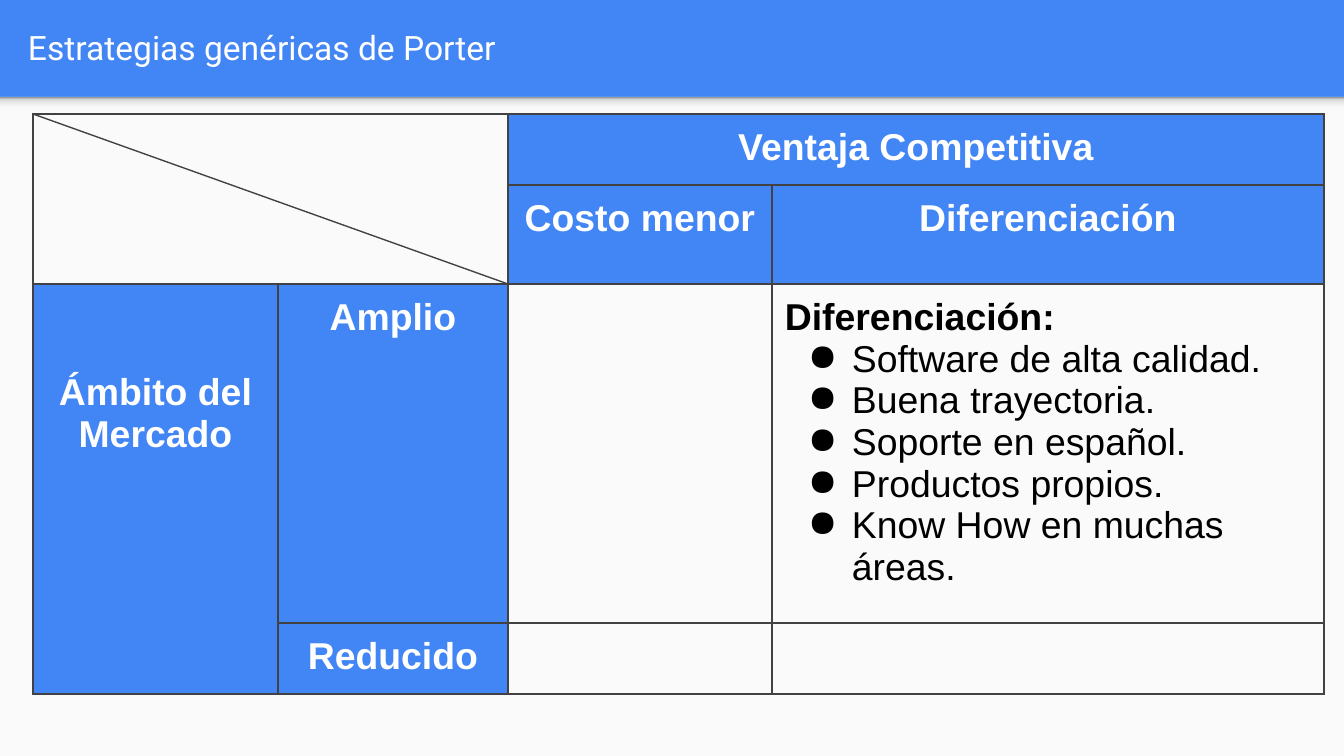
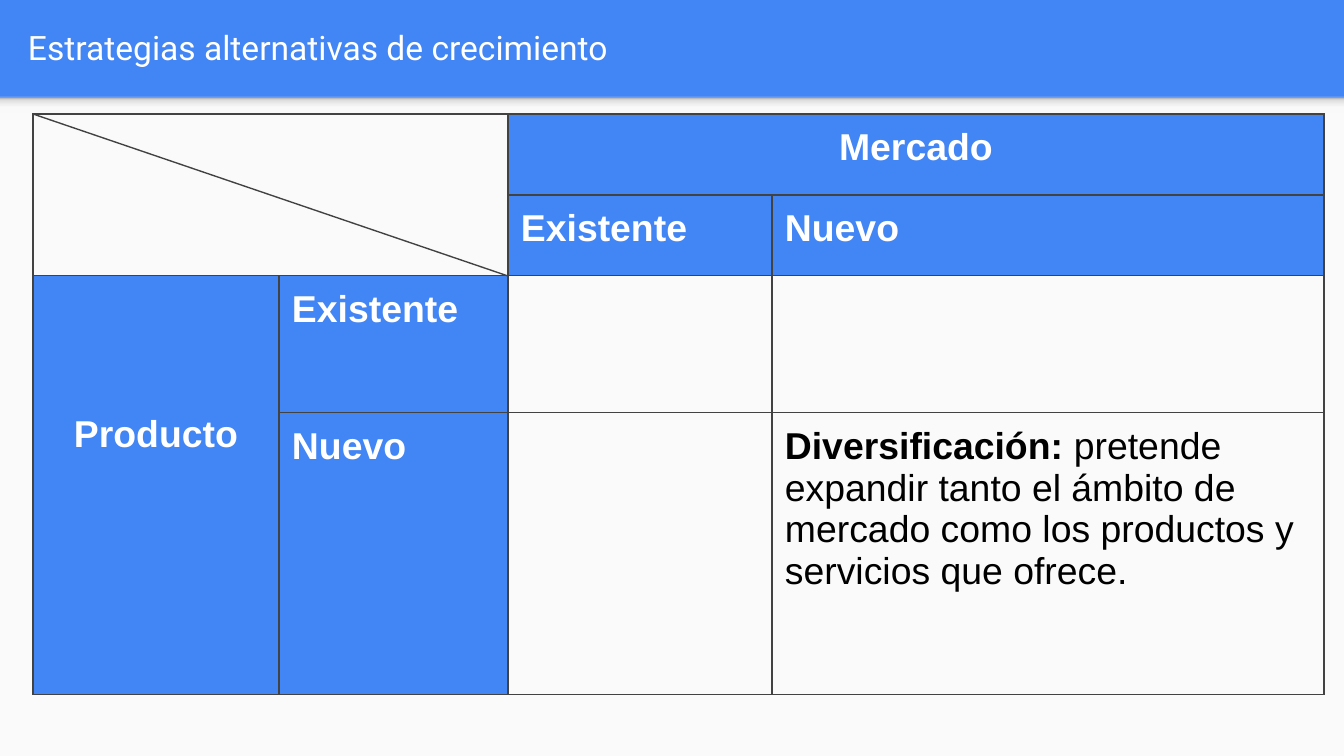
from lxml import etree
from pptx import Presentation
from pptx import util as u
from pptx.dml import color
from pptx.enum import shapes, text
from pptx.oxml import ns

COLORS = {
    "blue": "4285F4",
    "paper": "FAFAFA",
    "border": "424242",
    "white": "FFFFFF",
    "black": "000000",
}
SHADOW_STOPS = [(0, "F9F9F9"), (36, "F9F9F9"), (80, "DEDEDE"), (100, "999999")]
SLIDE_WIDTH, SLIDE_HEIGHT = 1344, 756
BAND_HEIGHT = 97
TABLE_LEFT, TABLE_TOP = 33, 114
PADDING = 13
CENTER, LEFT = text.PP_ALIGN.CENTER, text.PP_ALIGN.LEFT
MERGES = [((0, 0), (1, 1)), ((0, 2), (0, 3)), ((2, 0), (3, 0))]

MATRICES = [
    {
        "title": "Estrategias genéricas de Porter",
        "columns": [245, 230, 264, 552],
        "rows": [71, 99, 339, 71],
        "border": 1,
        "side_padding": 88,
        "label_align": CENTER,
        "labels": {
            (0, 2): "Ventaja Competitiva",
            (1, 2): "Costo menor",
            (1, 3): "Diferenciación",
            (2, 0): "Ámbito del Mercado",
            (2, 1): "Amplio",
            (3, 1): "Reducido",
        },
        "strategy_cell": (2, 3),
        "strategy": [[("Diferenciación:", True)]],
        "bullets": [
            "Software de alta calidad.",
            "Buena trayectoria.",
            "Soporte en español.",
            "Productos propios.",
            "Know How en muchas áreas.",
        ],
    },
    {
        "title": "Estrategias alternativas de crecimiento",
        "columns": [246, 229, 264, 552],
        "rows": [81, 81, 137, 282],
        "border": 0.75,
        "side_padding": 138,
        "label_align": LEFT,
        "labels": {
            (0, 2): "Mercado",
            (1, 2): "Existente",
            (1, 3): "Nuevo",
            (2, 0): "Producto",
            (2, 1): "Existente",
            (3, 1): "Nuevo",
        },
        "strategy_cell": (3, 3),
        "strategy": [[
            ("Diversificación: ", True),
            ("pretende expandir tanto el ámbito de mercado como los "
             "productos y servicios que ofrece.", False),
        ]],
        "bullets": [],
    },
]


def px(length):
    return u.Emu(round(length * 914400 / 134.4))


def add_run(paragraph, words, size, font, ink, bold):
    run = paragraph.add_run()
    run.text = words
    run.font.size = u.Pt(size)
    run.font.name = font
    run.font.bold = bold
    run.font.color.rgb = color.RGBColor.from_string(COLORS[ink])


presentation = Presentation()
presentation.slide_width = px(SLIDE_WIDTH)
presentation.slide_height = px(SLIDE_HEIGHT)
layout = presentation.slide_layouts[5]
layout.background.fill.solid()
layout.background.fill.fore_color.rgb = color.RGBColor.from_string(COLORS["blue"])

for number, matrix in enumerate(MATRICES):
    slide = presentation.slides.add_slide(layout)

    if number == 0:
        for height in (SLIDE_HEIGHT - BAND_HEIGHT, 16):
            shape = slide.shapes.add_shape(
                shapes.MSO_SHAPE.RECTANGLE, 0, px(BAND_HEIGHT), px(SLIDE_WIDTH), px(height))
            shape.shadow.inherit = False
            shape.line.fill.background()
            if height == 16:
                shape.fill.gradient()
                shape.fill.gradient_angle = 90
                stops = shape._element.spPr.find(".//" + ns.qn("a:gsLst"))
                for stop in list(stops):
                    stops.remove(stop)
                for position, shade in SHADOW_STOPS:
                    stop = etree.SubElement(stops, ns.qn("a:gs"), pos=str(position * 1000))
                    etree.SubElement(stop, ns.qn("a:srgbClr"), val=shade)
            else:
                shape.fill.solid()
                shape.fill.fore_color.rgb = color.RGBColor.from_string(COLORS["paper"])
            layout.shapes._spTree.append(shape._element)

    title = slide.shapes.title
    title.left, title.top, title.width, title.height = px(15), px(3), px(1297), px(89)
    frame = title.text_frame
    frame.auto_size = text.MSO_AUTO_SIZE.NONE
    frame.word_wrap = True
    frame.vertical_anchor = text.MSO_ANCHOR.MIDDLE
    frame.margin_left = frame.margin_right = px(PADDING)
    frame.margin_top = frame.margin_bottom = px(PADDING)
    frame.paragraphs[0].alignment = LEFT
    add_run(frame.paragraphs[0], matrix["title"], 18, "Roboto", "white", False)

    table = slide.shapes.add_table(
        4, 4, px(TABLE_LEFT), px(TABLE_TOP),
        px(sum(matrix["columns"])), px(sum(matrix["rows"]))).table
    table.first_row = False
    table.horz_banding = False
    for column, width in zip(table.columns, matrix["columns"]):
        column.width = px(width)
    for row, height in zip(table.rows, matrix["rows"]):
        row.height = px(height)
    for (top, left), (bottom, right) in MERGES:
        table.cell(top, left).merge(table.cell(bottom, right))

    for row in range(4):
        for column in range(4):
            cell = table.cell(row, column)
            cell.margin_left = cell.margin_right = px(PADDING)
            cell.margin_top = cell.margin_bottom = px(PADDING)
            if row >= 2 and column >= 2:
                cell.fill.background()
            else:
                is_corner = row < 2 and column < 2
                cell.fill.solid()
                cell.fill.fore_color.rgb = color.RGBColor.from_string(
                    COLORS["paper" if is_corner else "blue"])
            properties = cell._tc.get_or_add_tcPr()
            for index, side in enumerate(("lnL", "lnR", "lnT", "lnB")):
                border = etree.Element(ns.qn("a:" + side), w=str(u.Pt(matrix["border"])))
                fill = etree.SubElement(border, ns.qn("a:solidFill"))
                etree.SubElement(fill, ns.qn("a:srgbClr"), val=COLORS["border"])
                properties.insert(index, border)

    for (row, column), label in matrix["labels"].items():
        cell = table.cell(row, column)
        paragraph = cell.text_frame.paragraphs[0]
        is_axis = (row, column) in ((0, 2), (2, 0))
        paragraph.alignment = CENTER if is_axis else matrix["label_align"]
        add_run(paragraph, label, 20, "Arial", "white", True)
    table.cell(2, 0).margin_top = px(matrix["side_padding"])

    frame = table.cell(*matrix["strategy_cell"]).text_frame
    for runs in matrix["strategy"]:
        for words, bold in runs:
            add_run(frame.paragraphs[0], words, 20, "Arial", "black", bold)
    for bullet in matrix["bullets"]:
        paragraph = frame.add_paragraph()
        properties = paragraph._p.get_or_add_pPr()
        properties.set("marL", str(px(67)))
        properties.set("indent", str(px(-44)))
        bullet_color = etree.SubElement(properties, ns.qn("a:buClr"))
        etree.SubElement(bullet_color, ns.qn("a:srgbClr"), val=COLORS["black"])
        etree.SubElement(properties, ns.qn("a:buChar"), char="●")
        add_run(paragraph, bullet, 20, "Arial", "black", False)

    diagonal = slide.shapes.add_connector(
        shapes.MSO_CONNECTOR.STRAIGHT, px(TABLE_LEFT), px(TABLE_TOP),
        px(TABLE_LEFT + sum(matrix["columns"][:2])), px(TABLE_TOP + sum(matrix["rows"][:2])))
    diagonal.line.width = u.Pt(0.75)
    diagonal.line.color.rgb = color.RGBColor.from_string(COLORS["border"])
    etree.SubElement(diagonal._element.spPr, ns.qn("a:effectLst"))

presentation.save("out.pptx")
